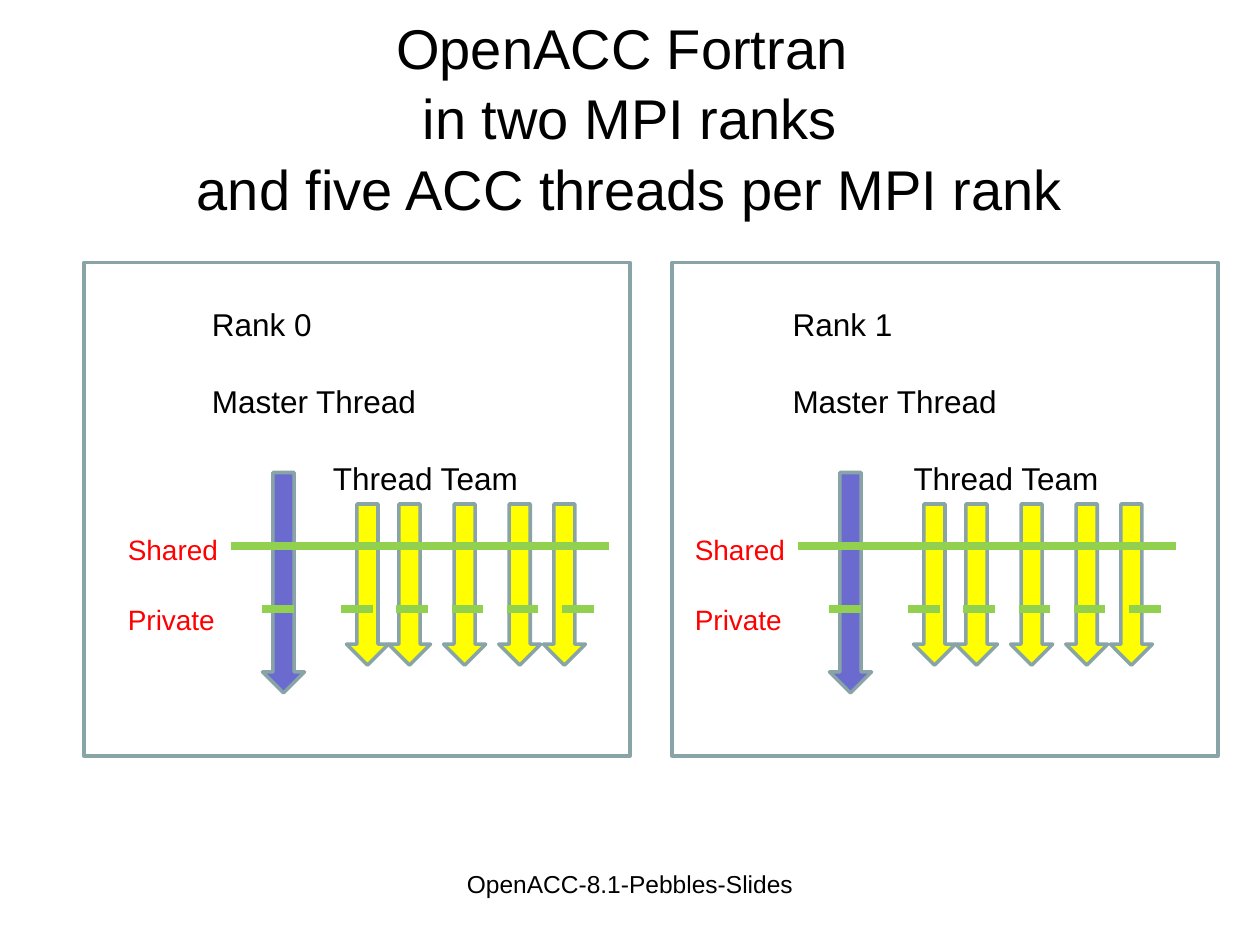
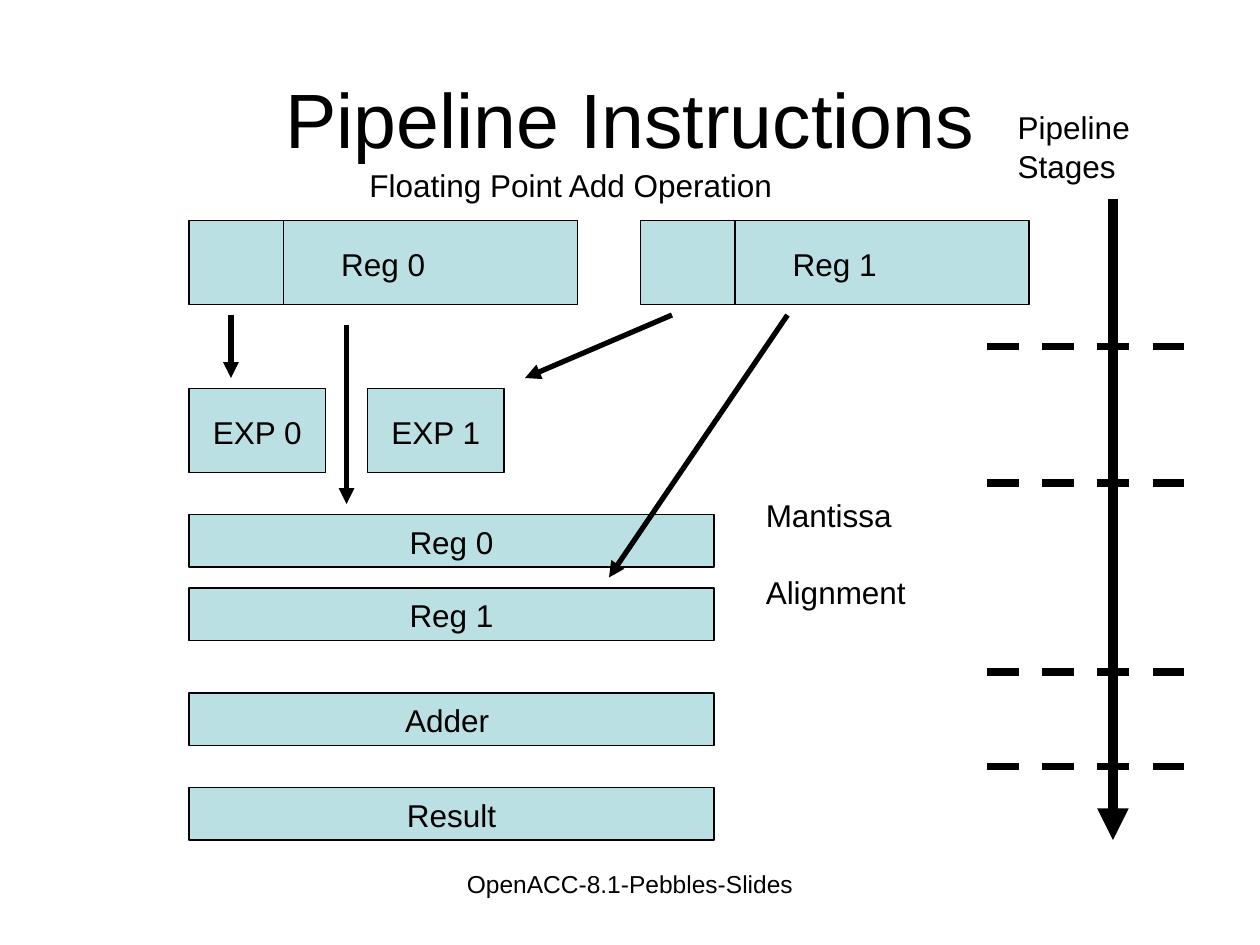
from lxml import etree
from pptx import Presentation
from pptx.dml.color import RGBColor
from pptx.enum.dml import MSO_LINE
from pptx.enum.shapes import MSO_CONNECTOR, MSO_SHAPE
from pptx.enum.text import MSO_ANCHOR, PP_ALIGN
from pptx.oxml.ns import qn
from pptx.util import Inches, Pt

RECTANGLE, DOWN_ARROW = MSO_SHAPE.RECTANGLE, MSO_SHAPE.DOWN_ARROW
STRAIGHT = MSO_CONNECTOR.STRAIGHT
DASH = MSO_LINE.DASH
LEFT, CENTER = PP_ALIGN.LEFT, PP_ALIGN.CENTER
TOP, MIDDLE = MSO_ANCHOR.TOP, MSO_ANCHOR.MIDDLE

BLACK = RGBColor(0x00, 0x00, 0x00)
RED = RGBColor(0xFF, 0x00, 0x00)
YELLOW = RGBColor(0xFF, 0xFF, 0x00)
VIOLET = RGBColor(0x6B, 0x6B, 0xCF)
GREEN = RGBColor(0x92, 0xD0, 0x50)
GREY = RGBColor(0x89, 0xA4, 0xA7)
PALE_BLUE = RGBColor(0xBB, 0xE0, 0xE3)

FONT = "Arial"
FOOTER = "OpenACC-8.1-Pebbles-Slides"
LINE_SPACING = 1.05

# The slide is a grid of 120 columns by 90 rows of square cells
COLUMNS, ROWS = 120, 90
CELL = Inches(10) / COLUMNS


def cells(*counts):
    return [round(count * CELL) for count in counts]


# Shared parts
def write(frame, text, size, color=BLACK, align=LEFT, anchor=TOP, gap=0, wrap=True):
    frame.text = text
    frame.word_wrap = wrap
    frame.vertical_anchor = anchor
    for number, para in enumerate(frame.paragraphs):
        para.alignment = align
        para.line_spacing = LINE_SPACING
        if number:
            para.space_before = Pt(gap)
        for span in para.runs:
            span.font.name = FONT
            span.font.size = Pt(size)
            span.font.color.rgb = color


def add_text(page, box, text, size, **style):
    frame = page.shapes.add_textbox(*cells(*box)).text_frame
    write(frame, text, size, **style)
    return frame


def add_block(page, kind, box, fill=None, line=BLACK, width=0.75, text=None):
    block = page.shapes.add_shape(kind, *cells(*box))
    block.shadow.inherit = False
    if fill is None:
        block.fill.background()
    else:
        block.fill.solid()
        block.fill.fore_color.rgb = fill
    block.line.color.rgb = line
    block.line.width = Pt(width)
    if text:
        write(block.text_frame, text, 18, align=CENTER, anchor=MIDDLE, wrap=False)


def add_line(page, start, end, color=BLACK, width=0.75, dashed=False, arrow=False):
    line = page.shapes.add_connector(STRAIGHT, *cells(*start, *end))
    line.line.color.rgb = color
    line.line.width = Pt(width)
    if dashed:
        line.line.dash_style = DASH
    properties = line._element.spPr
    if arrow:
        etree.SubElement(properties.find(qn("a:ln")), qn("a:tailEnd"), type="triangle")
    etree.SubElement(properties, qn("a:effectLst"))


def add_page(deck, title, size):
    page = deck.slides.add_slide(deck.slide_layouts[6])
    add_text(page, (6, 3.5, 108, 15), title, size, align=CENTER, anchor=MIDDLE)
    add_text(page, (41, 82, 38, 6), FOOTER, 14, align=CENTER)
    return page


# Rank slide
def place_threads(page, left, top):
    add_block(page, DOWN_ARROW, (left, top, 4, 21), VIOLET, GREY, 2)
    for offset in (8, 12, 17.25, 22.5, 26.75):
        add_block(page, DOWN_ARROW, (left + offset, top + 3, 4, 15.35), YELLOW, GREY, 2)

    # Shared memory spans all threads, private memory is split
    shared, private = top + 7, top + 13
    add_line(page, (left - 3, shared), (left + 33, shared), GREEN, 4.5)
    for start, end in ((0, 4), (7.5, 32.5)):
        add_line(page, (left + start, private), (left + end, private), GREEN, 4.5, dashed=True)
    add_text(page, (left - 14, top + 5, 14, 11), "Shared\nPrivate", 16, color=RED, gap=19.5)


def place_rank(page, left, top, rank, label_offset, thread_offset):
    add_block(page, RECTANGLE, (left, top, 52, 47), line=GREY, width=2)
    place_threads(page, left + thread_offset, top + 20)
    labels = add_text(page, (left + label_offset, top + 3.3, 33, 19),
                      f"Rank {rank}\nMaster Thread\nThread Team", 18, gap=21.4, wrap=False)
    labels.paragraphs[2]._p.get_or_add_pPr().set("marL", str(Inches(0.96)))


def build_rank_page(deck):
    page = add_page(deck, "OpenACC Fortran \vin two MPI ranks\vand five ACC threads per MPI rank", 32)
    place_rank(page, 8, 25, 0, label_offset=11, thread_offset=17)
    place_rank(page, 64, 25, 1, label_offset=10.3, thread_offset=15)


# Pipeline slide
def place_adder(page, left, top):
    add_text(page, (left + 16, top - 6, 53, 5), "Floating Point Add Operation", 18)
    for number in range(2):
        # Input register with its exponent field
        register = left + 43 * number
        add_block(page, RECTANGLE, (register, top, 37, 8), PALE_BLUE, text=f"Reg {number}")
        add_line(page, (register + 9, top), (register + 9, top + 8))
        add_block(page, RECTANGLE, (left + 17 * number, top + 16, 13, 8), PALE_BLUE,
                  text=f"EXP {number}")

    bars = ((28, "Reg 0"), (35, "Reg 1"), (45, "Adder "), (54, "Result"))
    for row, name in bars:
        add_block(page, RECTANGLE, (left, top + row, 50, 5), PALE_BLUE, text=name)
    add_text(page, (left + 53.75, top + 25.5, 16, 12), "Mantissa\nAlignment", 18,
             gap=21.4, wrap=False)

    # Flow of exponents and mantissas
    flows = (((4, 9), (4, 15)), ((46, 9), (32, 15)),
             ((57, 9), (40, 34)), ((15, 10), (15, 27)))
    for start, end in flows:
        add_line(page, (left + start[0], top + start[1]), (left + end[0], top + end[1]),
                 width=3, arrow=True)


def place_stages(page, left, top):
    add_text(page, (left + 1.75, top - 9.5, 23, 5), "Pipeline Stages", 18, wrap=False)
    add_line(page, (left + 12, top), (left + 12, top + 61), width=6, arrow=True)
    for row in (14, 27, 45, 54):
        add_line(page, (left, top + row), (left + 21, top + row), width=4.5, dashed=True)


def build_pipeline_page(deck):
    page = add_page(deck, "Pipeline Instructions", 44)
    place_adder(page, 18, 21)
    place_stages(page, 94, 19)


def main():
    deck = Presentation()
    deck.slide_width, deck.slide_height = cells(COLUMNS, ROWS)
    build_rank_page(deck)
    build_pipeline_page(deck)
    deck.save("out.pptx")


if __name__ == "__main__":
    main()
